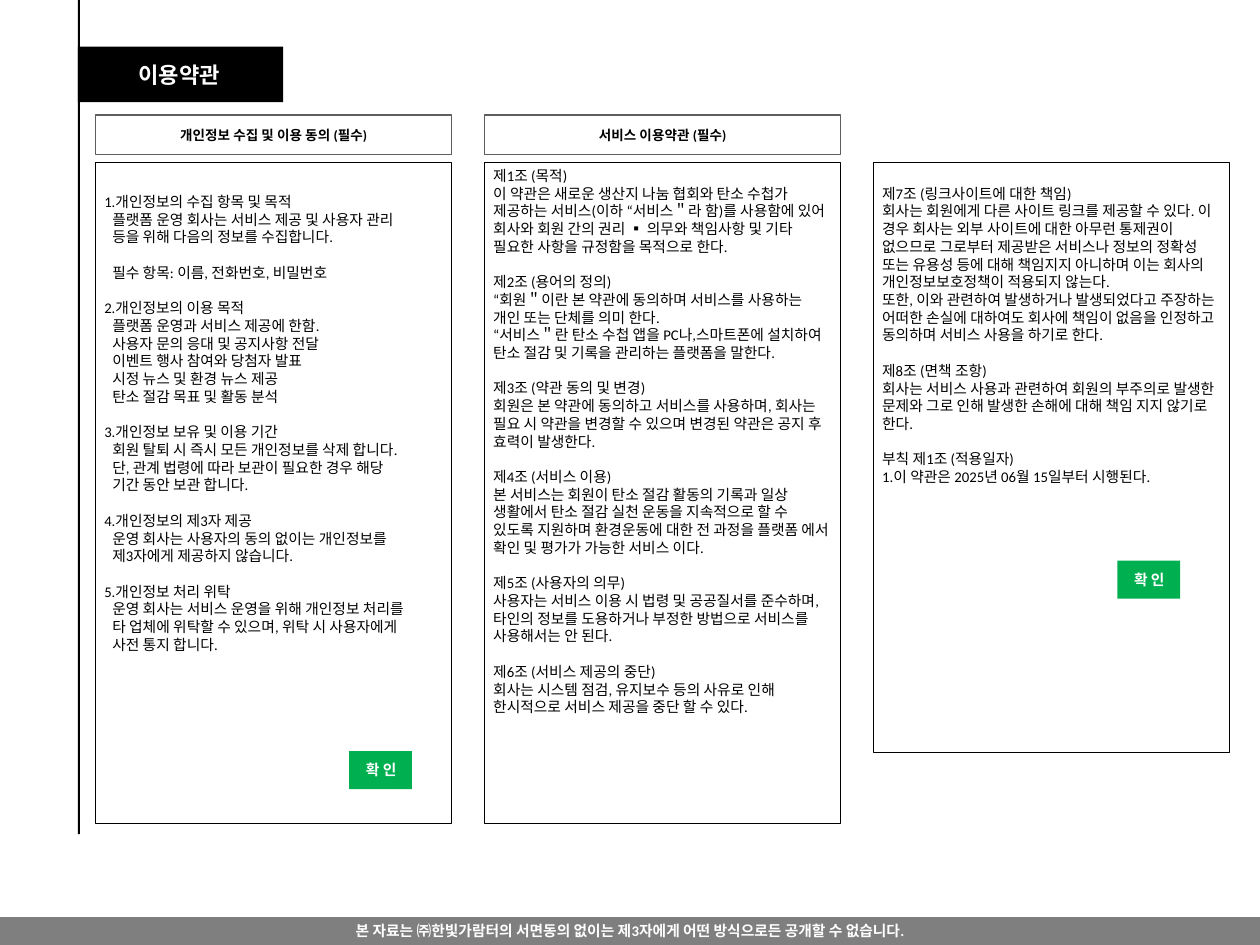
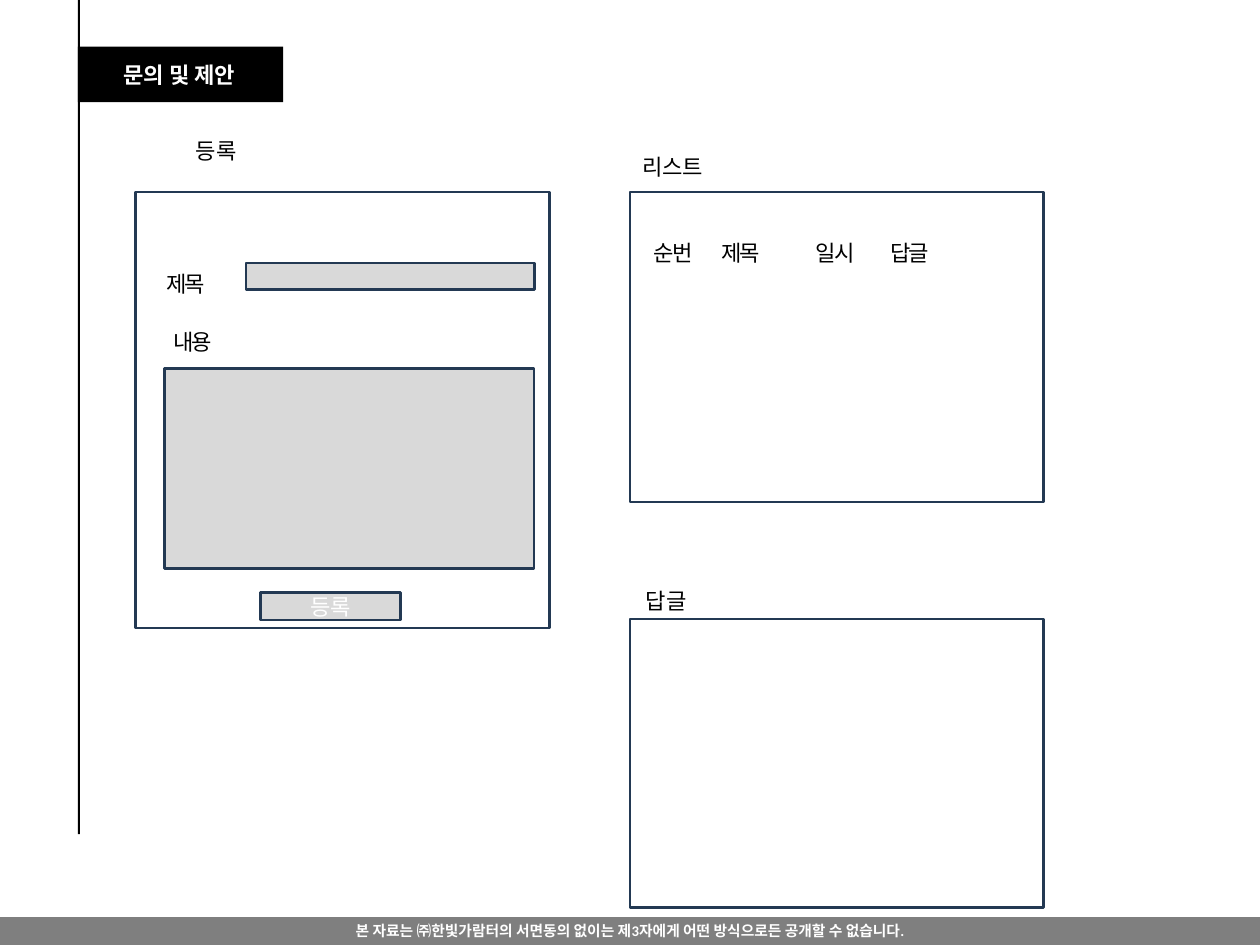
import pptx
import pptx.dml.color
import pptx.enum.shapes
import pptx.enum.text
import pptx.oxml.ns
import pptx.util
from lxml import etree

Cm = pptx.util.Cm
Pt = pptx.util.Pt
ALIGN = pptx.enum.text.PP_ALIGN
ANCHOR = pptx.enum.text.MSO_ANCHOR
qn = pptx.oxml.ns.qn

COLORS = {
    "black": "000000",
    "white": "FFFFFF",
    "header_line": "5E5E5E",
    "navy": "233953",
    "field": "D9D9D9",
    "green": "00B050",
}
BODY_FONT = "Calibri"
KOREAN_FONT = "Noto Sans CJK KR"
FOOTER = "본 자료는 ㈜한빛가람터의 서면동의 없이는 제3자에게 어떤 방식으로든 공개할 수 없습니다."

# Terms columns: left edge, pitch, width and top
COLUMN_LEFT, COLUMN_PITCH, COLUMN_WIDTH, COLUMN_TOP = 2.74, 11.15, 10.21, 4.65
INDENT = 0.23

PRIVACY = [
    ["1.개인정보의 수집 항목 및 목적",
     "플랫폼 운영 회사는 서비스 제공 및 사용자 관리",
     "등을 위해 다음의 정보를 수집합니다."],
    ["필수 항목: 이름, 전화번호, 비밀번호"],
    ["2.개인정보의 이용 목적",
     "플랫폼 운영과 서비스 제공에 한함.",
     "사용자 문의 응대 및 공지사항 전달",
     "이벤트 행사 참여와 당첨자 발표",
     "시정 뉴스 및 환경 뉴스 제공",
     "탄소 절감 목표 및 활동 분석"],
    ["3.개인정보 보유 및 이용 기간",
     "회원 탈퇴 시 즉시 모든 개인정보를 삭제 합니다.",
     "단, 관계 법령에 따라 보관이 필요한 경우 해당",
     "기간 동안 보관 합니다."],
    ["4.개인정보의 제3자 제공",
     "운영 회사는 사용자의 동의 없이는 개인정보를",
     "제3자에게 제공하지 않습니다."],
    ["5.개인정보 처리 위탁",
     "운영 회사는 서비스 운영을 위해 개인정보 처리를",
     "타 업체에 위탁할 수 있으며, 위탁 시 사용자에게",
     "사전 통지 합니다."],
]
SERVICE = [
    ["제1조 (목적)",
     "이 약관은 새로운 생산지 나눔 협회와 탄소 수첩가 제공하는 서비스(이하 “서비스＂라 함)를 "
     "사용함에 있어 회사와 회원 간의 권리 ▪ 의무와 책임사항 및 기타 필요한 사항을 규정함을 목적으로 한다."],
    ["제2조 (용어의 정의)",
     "“회원＂이란 본 약관에 동의하며 서비스를 사용하는 개인 또는 단체를 의미 한다.",
     "“서비스＂란 탄소 수첩 앱을 PC나,스마트폰에 설치하여 탄소 절감 및 기록을 관리하는 플랫폼을 말한다."],
    ["제3조 (약관 동의 및 변경)",
     "회원은 본 약관에 동의하고 서비스를 사용하며, 회사는 필요 시 약관을 변경할 수 있으며 "
     "변경된 약관은 공지 후 효력이 발생한다."],
    ["제4조 (서비스 이용)",
     "본 서비스는 회원이 탄소 절감 활동의 기록과 일상 생활에서 탄소 절감 실천 운동을 지속적으로 할 수 있도록 "
     "지원하며 환경운동에 대한 전 과정을 플랫폼 에서 확인 및 평가가 가능한 서비스 이다."],
    ["제5조 (사용자의 의무)",
     "사용자는 서비스 이용 시 법령 및 공공질서를 준수하며, 타인의 정보를 도용하거나 "
     "부정한 방법으로 서비스를 사용해서는 안 된다."],
    ["제6조 (서비스 제공의 중단)",
     "회사는 시스템 점검, 유지보수 등의 사유로 인해 한시적으로 서비스 제공을 중단 할 수 있다."],
]
LIABILITY = [
    ["제7조 (링크사이트에 대한 책임)",
     "회사는 회원에게 다른 사이트 링크를 제공할 수 있다. 이 경우 회사는 외부 사이트에 대한 아무런 통제권이 "
     "없으므로 그로부터 제공받은 서비스나 정보의 정확성 또는 유용성 등에 대해 책임지지 아니하며 이는 회사의 "
     "개인정보보호정책이 적용되지 않는다.",
     "또한, 이와 관련하여 발생하거나 발생되었다고 주장하는 어떠한 손실에 대하여도 회사에 책임이 없음을 "
     "인정하고 동의하며 서비스 사용을 하기로 한다."],
    ["제8조 (면책 조항)",
     "회사는 서비스 사용과 관련하여 회원의 부주의로 발생한 문제와 그로 인해 발생한 손해에 대해 "
     "책임 지지 않기로 한다."],
    ["부칙 제1조 (적용일자)",
     "1.이 약관은 2025년 06월 15일부터 시행된다."],
]


def rgb(name):
    return pptx.dml.color.RGBColor.from_string(COLORS[name])


def style_span(span, size, color="black", bold=False, font=BODY_FONT, spacing=None):
    span.font.size = Pt(size)
    span.font.bold = bold
    span.font.name = font
    span.font.color.rgb = rgb(color)
    props = span.font._element
    east_asian = etree.Element(qn("a:ea"), typeface=font)
    props.find(qn("a:latin")).addnext(east_asian)
    if spacing is not None:
        props.set("spc", str(round(spacing * 100)))


def write(box, text, size, align=ALIGN.LEFT, **style):
    para = box.text_frame.paragraphs[0]
    para.text = text
    para.alignment = align
    for span in para.runs:
        style_span(span, size, **style)
    return para


def set_indent(para, indent):
    para._p.get_or_add_pPr().set("marL", str(Cm(indent)))


def add_rect(page, left, top, width, height, fill=None, line=None, weight=2):
    box = page.shapes.add_shape(pptx.enum.shapes.MSO_SHAPE.RECTANGLE,
                                Cm(left), Cm(top), Cm(width), Cm(height))
    box.shadow.inherit = False
    if fill:
        box.fill.solid()
        box.fill.fore_color.rgb = rgb(fill)
    else:
        box.fill.background()
    if line:
        box.line.color.rgb = rgb(line)
        box.line.width = Pt(weight)
    else:
        box.line.fill.background()
    box.text_frame.word_wrap = True
    box.text_frame.vertical_anchor = ANCHOR.MIDDLE
    return box


def add_label(page, left, top, width, height, text, align=ALIGN.LEFT, wrap=True, **style):
    box = page.shapes.add_textbox(Cm(left), Cm(top), Cm(width), Cm(height))
    box.text_frame.word_wrap = wrap
    return write(box, text, 18, align, **style)


def add_field_label(page, left, top, width, height, text):
    para = add_label(page, left, top, width, height, text, font=KOREAN_FONT, spacing=-1.6)
    para.line_spacing = 1.5
    return para


def add_page(deck, title, title_font):
    page = deck.slides.add_slide(deck.slide_layouts[6])
    # Footer band, half transparent
    footer = add_rect(page, 0, 26.3, 36.12, 0.8, "black")
    color = footer.fill._xPr.find(".//" + qn("a:srgbClr"))
    etree.SubElement(color, qn("a:alpha"), val="50000")
    write(footer, FOOTER, 12, ALIGN.CENTER, color="white", bold=True)
    # Side rule and title tab
    add_rect(page, 2.23, 0, 0.06, 23.92, "black")
    add_rect(page, 2.23, 1.34, 5.89, 1.59, "black")
    add_label(page, 2.18, 1.63, 5.92, 1.02, title, ALIGN.CENTER,
              color="white", bold=True, font=title_font)
    return page


def add_terms(page, column, height, sections, top_inset=0.13, body_indent=0.0):
    box = add_rect(page, COLUMN_LEFT + column * COLUMN_PITCH, COLUMN_TOP,
                   COLUMN_WIDTH, height, line="black", weight=0.75)
    frame = box.text_frame
    frame.vertical_anchor = ANCHOR.TOP
    frame.margin_top = Cm(top_inset)
    para = frame.paragraphs[0]
    for number, section in enumerate(sections):
        for position, text in enumerate(section):
            if number or position:
                para = frame.add_paragraph()
            para.alignment = ALIGN.LEFT
            if number and not position:
                para.space_before = Pt(14.4)
            set_indent(para, 0 if text[0].isdigit() else body_indent)
            # The square mark uses the Korean font
            for piece in filter(None, text.partition("▪ ")):
                span = para.add_run()
                span.text = piece
                style_span(span, 12, font=KOREAN_FONT if piece == "▪ " else BODY_FONT)


def add_terms_header(page, column, text):
    box = add_rect(page, COLUMN_LEFT + column * COLUMN_PITCH, 3.3, COLUMN_WIDTH, 1.14,
                   "white", "header_line", 1)
    write(box, text, 11, ALIGN.CENTER, bold=True)


def add_confirm_button(page, left, top):
    box = add_rect(page, left, top, 1.8, 1.09, "green")
    set_indent(write(box, "확 인", 12, color="white", bold=True), INDENT)


def build_terms_page(deck):
    page = add_page(deck, "이용약관", "Arial")
    add_terms(page, 0, 18.97, PRIVACY, 0.88, INDENT)
    add_terms(page, 1, 18.97, SERVICE)
    add_terms(page, 2, 16.92, LIABILITY, 0.64)
    for column, text in enumerate(["개인정보 수집 및 이용 동의 (필수)", "서비스 이용약관 (필수)"]):
        add_terms_header(page, column, text)
    add_confirm_button(page, 10.01, 21.54)
    add_confirm_button(page, 32.03, 16.08)


def build_inquiry_page(deck):
    page = add_page(deck, "문의 및 제안", KOREAN_FONT)
    # Registration form
    add_label(page, 5.36, 3.81, 1.8, 1.02, "등록", wrap=False)
    add_rect(page, 3.89, 5.51, 11.86, 12.5, line="navy")
    add_rect(page, 7.06, 7.54, 8.26, 0.76, "field", "navy")
    add_field_label(page, 4.52, 7.24, 4.01, 1.24, "제목")
    add_field_label(page, 4.72, 8.92, 4.01, 1.24, "내용")
    add_rect(page, 4.72, 10.57, 10.59, 5.74, "field", "navy")
    button = add_rect(page, 7.47, 16.99, 4.01, 0.79, "field", "navy")
    write(button, "등록", 18, ALIGN.CENTER, color="white")
    # List with tabbed column names
    add_label(page, 18.16, 4.27, 2.44, 1.02, "리스트", wrap=False)
    add_rect(page, 18.06, 5.51, 11.86, 8.89, line="navy")
    names = add_field_label(page, 18.49, 6.35, 12.07, 1.42, "순번\t제목\t일시\t답글")
    tabs = etree.SubElement(names._p.get_or_add_pPr(), qn("a:tabLst"))
    for stop in (1.93, 4.65, 6.78):
        etree.SubElement(tabs, qn("a:tab"), pos=str(Cm(stop)), algn="l")
    # Reply
    add_label(page, 18.26, 16.71, 1.8, 1.02, "답글", wrap=False)
    add_rect(page, 18.06, 17.75, 11.86, 8.28, line="navy")


def main():
    deck = pptx.Presentation()
    deck.slide_width, deck.slide_height = Cm(36.12), Cm(27.1)
    build_terms_page(deck)
    build_inquiry_page(deck)
    deck.save("out.pptx")


if __name__ == "__main__":
    main()
